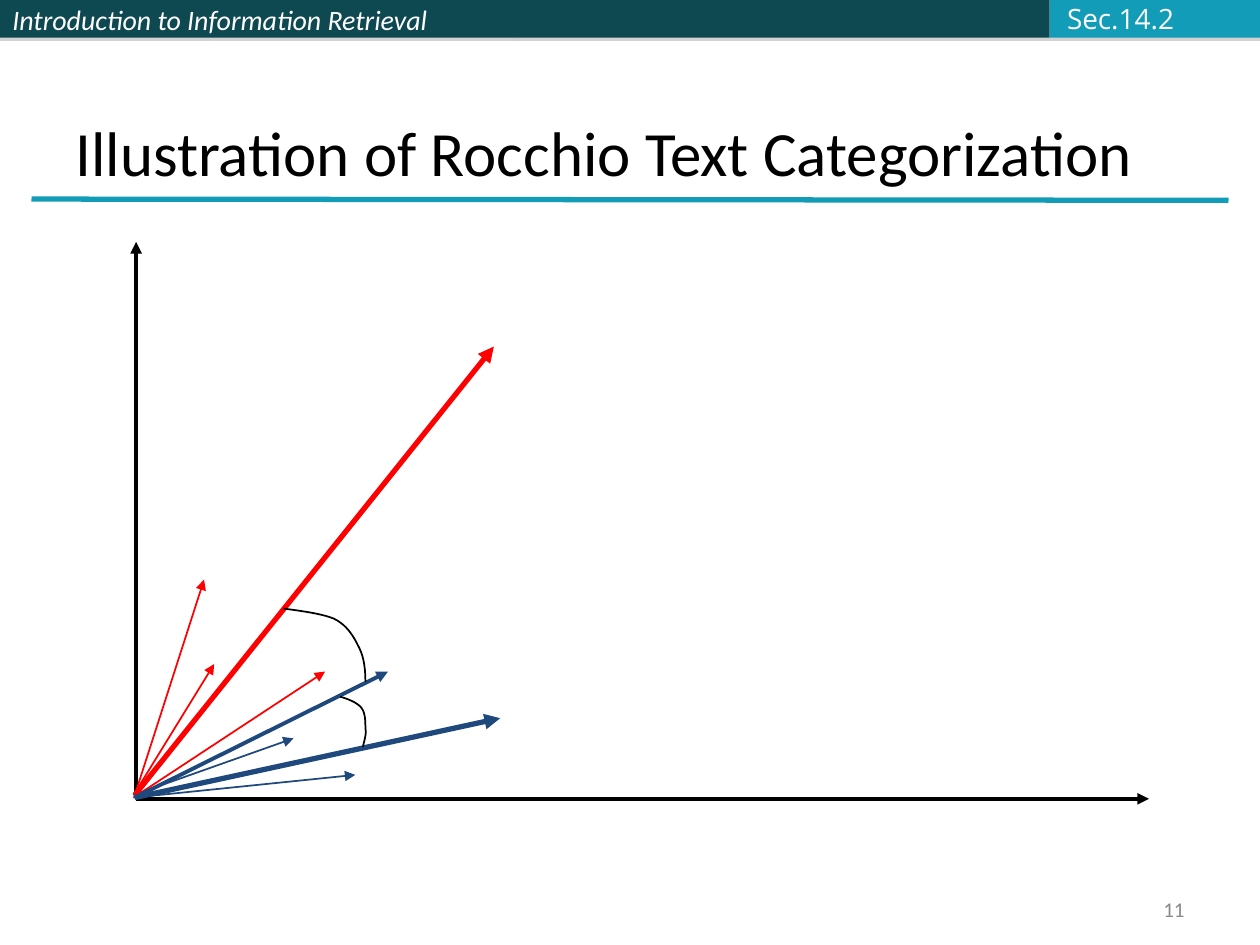
from dataclasses import dataclass

from lxml.etree import SubElement
from pptx import Presentation
from pptx.dml.color import RGBColor
from pptx.enum.shapes import MSO_CONNECTOR, MSO_SHAPE
from pptx.enum.text import MSO_ANCHOR as ANCHOR, PP_ALIGN as ALIGN
from pptx.oxml.ns import qn
from pptx.util import Inches, Length, Pt

COLS, ROWS = 100, 75  # square cells, a tenth of an inch each
CELL = Inches(0.1)
BLACK, WHITE, RED, BLUE = "000000", "FFFFFF", "FF0000", "1F497D"
TEAL, CYAN, GREY = "0E4851", "139CB7", "898989"

Point = tuple[float, float]
Box = tuple[float, float, float, float]


@dataclass
class Bar:
    col: float
    cols: float
    color: str
    text: str = ""


@dataclass
class Line:
    start: Point
    end: Point
    color: str
    width: float
    arrow: bool = True


@dataclass
class Arc:
    """Angle mark: a start point, then cubic segments of two controls and an end."""
    start: Point
    segments: list[tuple[Point, Point, Point]]


BARS = [
    Bar(0, 40.8, TEAL, "Introduction to Information Retrieval"),
    Bar(40.8, 42.5, TEAL),
    Bar(83.3, 16.7, CYAN),
]
TITLE_RULE = Line((2.5, 15.8), (97.5, 15.9), CYAN, 3, arrow=False)
VECTORS = [
    Line((10.8, 63.3), (10.8, 19.2), BLACK, 2.25),
    Line((10.8, 63.4), (91.2, 63.4), BLACK, 2.25),
    Line((10.7, 63.1), (16.2, 46), RED, 1),
    Line((10.6, 63.1), (17, 52.7), RED, 1),
    Line((10.6, 63.3), (25.8, 53.3), RED, 1),
    Line((10.6, 63.3), (28.2, 61.5), BLUE, 1),
    Line((10.6, 63.1), (23.3, 58.6), BLUE, 1),
    Line((10.7, 63.1), (39.2, 27.5), RED, 3),
    Line((10.7, 63.3), (39.7, 57), BLUE, 3),
    Line((10.7, 63.3), (30.8, 53.3), BLUE, 2.25),
]
ARCS = [
    Arc((22.5, 48.3), [((24, 48.5), (25.5, 48.7), (26.5, 49.1)),
                       ((27.5, 49.6), (28, 50.4), (28.4, 51.2)),
                       ((28.9, 52.1), (29, 53.1), (29, 54.1))]),
    Arc((27, 55.3), [((27.7, 55.5), (28.4, 55.8), (28.7, 56.2)),
                     ((29, 56.6), (29, 57.3), (29, 57.8)),
                     ((29.1, 58.3), (28.9, 58.8), (28.8, 59.3))]),
]


def cells(*counts: float) -> list[Length]:
    return [Length(round(n * CELL)) for n in counts]


def rgb(color: str) -> RGBColor:
    return RGBColor.from_string(color)


def set_text(sp, text: str, size: float, color: str, font="Calibri",
             italic=False, align=ALIGN.LEFT, anchor=ANCHOR.MIDDLE, wrap=True) -> None:
    tf = sp.text_frame
    tf.text, tf.word_wrap, tf.vertical_anchor = text, wrap, anchor
    p = tf.paragraphs[0]
    p.alignment = align
    p.font.name, p.font.size, p.font.italic = font, Pt(size), italic
    p.font.color.rgb = rgb(color)


def add_label(slide, box: Box, text: str, size: float, color: str, **style) -> None:
    set_text(slide.shapes.add_textbox(*cells(*box)), text, size, color, **style)


def add_bar(slide, bar: Bar) -> None:
    sp = slide.shapes.add_shape(MSO_SHAPE.RECTANGLE, *cells(bar.col, 0, bar.cols, 3))
    sp.fill.solid()
    sp.fill.fore_color.rgb = rgb(bar.color)
    sp.line.fill.background()
    effects = SubElement(sp._element.spPr, qn("a:effectLst"))
    shadow = SubElement(effects, qn("a:outerShdw"), dist=str(Pt(1.8)), dir="5400000")
    tint = SubElement(shadow, qn("a:srgbClr"), val="808080")
    SubElement(tint, qn("a:alpha"), val="35000")
    if bar.text:
        set_text(sp, bar.text, 16, WHITE, italic=True)


def add_line(slide, line: Line) -> None:
    cn = slide.shapes.add_connector(MSO_CONNECTOR.STRAIGHT,
                                    *cells(*line.start, *line.end))
    cn.line.color.rgb = rgb(line.color)
    cn.line.width = Pt(line.width)
    if line.arrow:
        SubElement(cn.line._get_or_add_ln(), qn("a:tailEnd"), type="triangle")
    SubElement(cn._element.spPr, qn("a:effectLst"))


def bezier(a: Point, b: Point, c: Point, d: Point, t: float) -> Point:
    u = 1 - t
    return tuple(u**3 * i + 3 * u * u * t * j + 3 * u * t * t * k + t**3 * m
                 for i, j, k, m in zip(a, b, c, d))


def add_arc(slide, arc: Arc, steps: int = 10) -> None:
    points, last = [], arc.start
    for segment in arc.segments:
        points += [bezier(last, *segment, n / steps) for n in range(1, steps + 1)]
        last = segment[-1]
    builder = slide.shapes.build_freeform(*cells(*arc.start))
    builder.add_line_segments([cells(*pt) for pt in points], close=False)
    sp = builder.convert_to_shape()
    sp.fill.background()
    sp.line.color.rgb = rgb(BLACK)
    sp.line.width = Pt(1)
    sp.shadow.inherit = False


def set_title(slide, text: str) -> None:
    sp = slide.shapes.title
    sp.left, sp.top, sp.width, sp.height = cells(5, 3, 90, 12.5)
    set_text(sp, text, 36, BLACK, anchor=ANCHOR.BOTTOM)


def main() -> None:
    prs = Presentation()
    prs.slide_width, prs.slide_height = cells(COLS, ROWS)
    slide = prs.slides.add_slide(prs.slide_layouts[5])
    for bar in BARS:
        add_bar(slide, bar)
    set_title(slide, "Illustration of Rocchio Text Categorization")
    for line in [TITLE_RULE, *VECTORS]:
        add_line(slide, line)
    for arc in ARCS:
        add_arc(slide, arc)
    add_label(slide, (71.7, 70.8, 23.3, 2.7), "11", 12, GREY, align=ALIGN.RIGHT)
    add_label(slide, (83.7, -0.4, 10.5, 3.7), "Sec.14.2", 16, "FBFCFF",
              font="Open Sans", wrap=False)
    prs.save("out.pptx")


if __name__ == "__main__":
    main()
